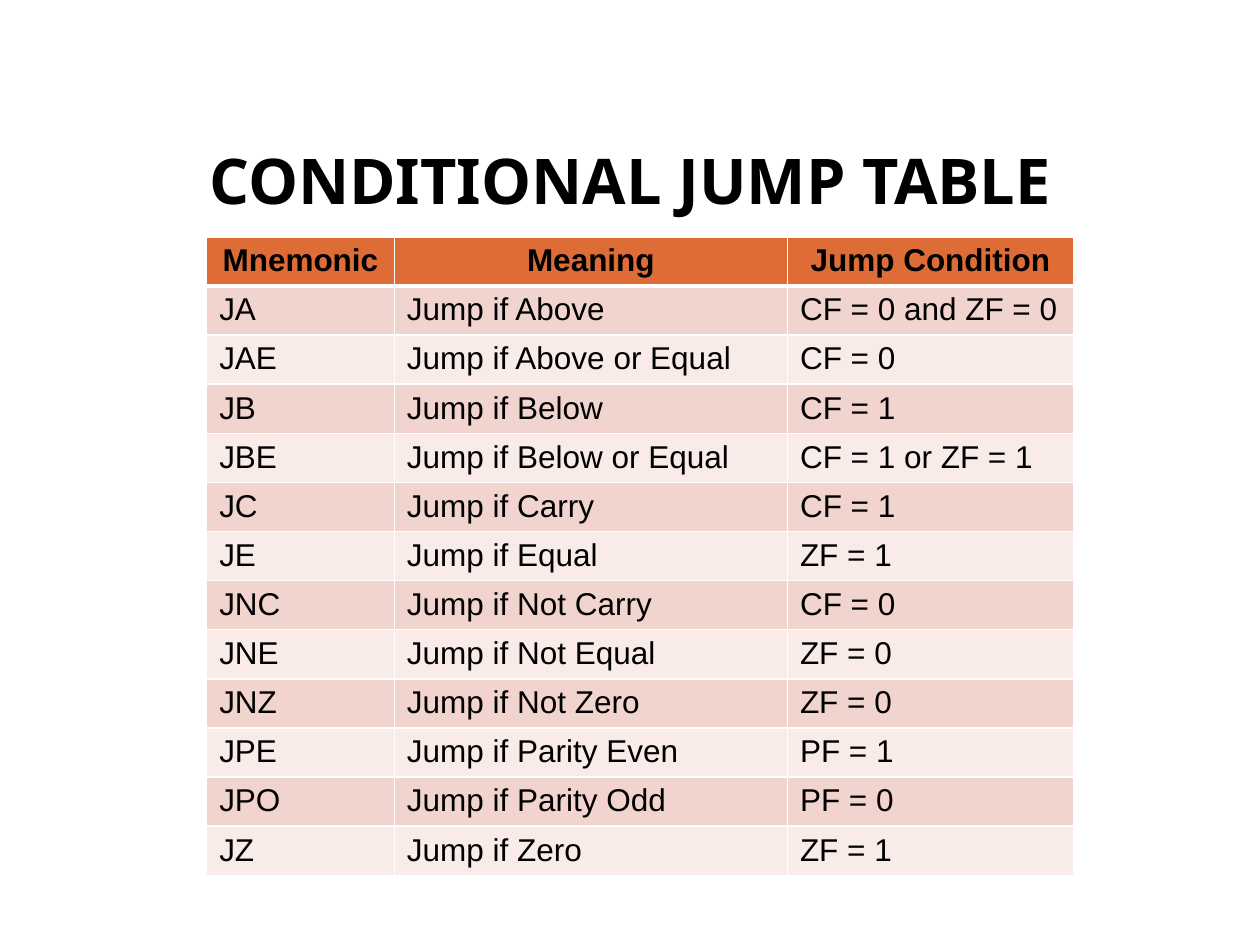
import pptx
import pptx.util
import pptx.dml.color
import pptx.enum.text
import pptx.oxml
import pptx.oxml.ns

Inches, Pt = pptx.util.Inches, pptx.util.Pt
RGBColor = pptx.dml.color.RGBColor
PP_ALIGN = pptx.enum.text.PP_ALIGN

COLORS = {
    "text": "000000",
    "header": "DE6C36",
    "odd_row": "F2D4CE",
    "even_row": "F9EBE8",
    "border": "FFFFFF",
}
HEADINGS = ("Mnemonic", "Meaning", "Jump Condition")
JUMPS = [
    ("JA", "Jump if Above", "CF = 0 and ZF = 0"),
    ("JAE", "Jump if Above or Equal", "CF = 0"),
    ("JB", "Jump if Below", "CF = 1"),
    ("JBE", "Jump if Below or Equal", "CF = 1 or ZF = 1"),
    ("JC", "Jump if Carry", "CF = 1"),
    ("JE", "Jump if Equal", "ZF = 1"),
    ("JNC", "Jump if Not Carry", "CF = 0"),
    ("JNE", "Jump if Not Equal", "ZF = 0"),
    ("JNZ", "Jump if Not Zero", "ZF = 0"),
    ("JPE", "Jump if Parity Even", "PF = 1"),
    ("JPO", "Jump if Parity Odd", "PF = 0"),
    ("JZ", "Jump if Zero", "ZF = 1"),
]
COLUMN_WIDTHS = (1.49, 3.12, 2.27)


def format_text(paragraph, font_name, size, bold, align):
    paragraph.alignment = align
    for run in paragraph.runs:
        run.font.name = font_name
        run.font.size = Pt(size)
        run.font.bold = bold
        run.font.color.rgb = RGBColor.from_string(COLORS["text"])


def set_borders(cell, top, bottom):
    """Draw the four cell borders; widths are in points."""
    properties = cell._tc.get_or_add_tcPr()
    widths = {"lnL": 1, "lnR": 1, "lnT": top, "lnB": bottom}
    for position, (side, width) in enumerate(widths.items()):
        properties.insert(position, pptx.oxml.parse_xml(
            f'<a:{side} {pptx.oxml.ns.nsdecls("a")} w="{Pt(width)}">'
            f'<a:solidFill><a:srgbClr val="{COLORS["border"]}"/></a:solidFill>'
            f'</a:{side}>'))


def place_title(slide, left, top, width, height):
    title = slide.shapes.title
    title.left, title.top = Inches(left), Inches(top)
    title.width, title.height = Inches(width), Inches(height)
    frame = title.text_frame
    frame.text = "CONDITIONAL JUMP TABLE"
    frame.word_wrap = True
    frame.auto_size = pptx.enum.text.MSO_AUTO_SIZE.NONE
    frame.vertical_anchor = pptx.enum.text.MSO_ANCHOR.BOTTOM
    frame.margin_left = frame.margin_right = Inches(0.05)
    frame.margin_top = frame.margin_bottom = 0
    format_text(frame.paragraphs[0], "Noto Sans", 36, True, PP_ALIGN.CENTER)


def place_jump_table(slide, left, top, width, row_height):
    rows = [HEADINGS] + JUMPS
    jump_table = slide.shapes.add_table(
        len(rows), len(HEADINGS), Inches(left), Inches(top),
        Inches(width), Inches(row_height * len(rows))).table
    for column, share in zip(jump_table.columns, COLUMN_WIDTHS):
        column.width = Inches(width * share / sum(COLUMN_WIDTHS))

    for row_index, texts in enumerate(rows):
        jump_table.rows[row_index].height = Inches(row_height)
        is_header = row_index == 0
        band = "header" if is_header else ("even_row", "odd_row")[row_index % 2]
        for column_index, text in enumerate(texts):
            cell = jump_table.cell(row_index, column_index)
            cell.text_frame.text = text
            format_text(cell.text_frame.paragraphs[0], "Arial", 18, is_header,
                        PP_ALIGN.CENTER if is_header else PP_ALIGN.LEFT)
            cell.fill.solid()
            cell.fill.fore_color.rgb = RGBColor.from_string(COLORS[band])
            # The line under the header is thicker
            set_borders(cell, top=3 if row_index == 1 else 1,
                        bottom=3 if is_header else 1)


presentation = pptx.Presentation()
presentation.slide_width, presentation.slide_height = Inches(10), Inches(7.5)
slide = presentation.slides.add_slide(presentation.slide_layouts[5])

place_title(slide, 0.5, 0.77, 9, 0.95)
place_jump_table(slide, 1.64, 1.88, 6.88, 0.39)

presentation.save("out.pptx")
